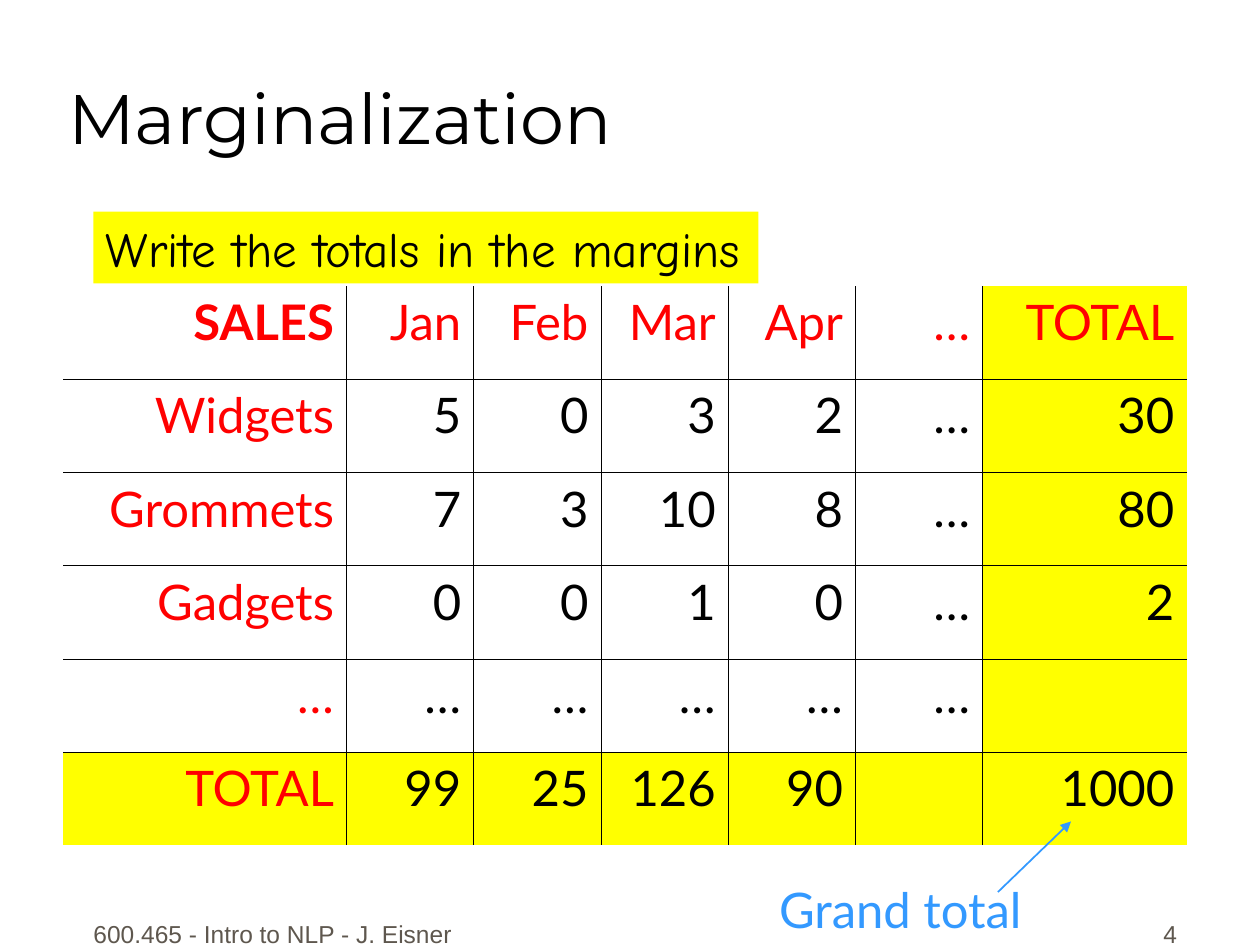
from lxml import etree
from pptx import Presentation
from pptx.dml.color import RGBColor
from pptx.enum.shapes import MSO_CONNECTOR, MSO_SHAPE
from pptx.enum.text import MSO_ANCHOR, MSO_AUTO_SIZE, PP_ALIGN
from pptx.oxml.ns import qn
from pptx.util import Emu, Pt

LEFT, MID, RIGHT = PP_ALIGN.LEFT, PP_ALIGN.CENTER, PP_ALIGN.RIGHT
BOTTOM = MSO_ANCHOR.BOTTOM
FIT, FIXED = MSO_AUTO_SIZE.SHAPE_TO_FIT_TEXT, MSO_AUTO_SIZE.NONE
RECT, LINE = MSO_SHAPE.RECTANGLE, MSO_CONNECTOR.STRAIGHT

SCALE = 9144  # 100 px to the inch
COLORS = {
    "ink": "000000",
    "head": "FF0000",
    "total": "FFFF00",
    "note": "3399FF",
    "foot": "5E574E",
}
SALES = [
    ["SALES", "Jan", "Feb", "Mar", "Apr", "…", "TOTAL"],
    ["Widgets", "5", "0", "3", "2", "…", "30"],
    ["Grommets", "7", "3", "10", "8", "…", "80"],
    ["Gadgets", "0", "0", "1", "0", "…", "2"],
    ["…", "…", "…", "…", "…", "…", ""],
    ["TOTAL", "99", "25", "126", "90", "", "1000"],
]
WIDTHS = [225] + [101] * 5 + [162]
ROW = 74


def px(*nums):
    return [Emu(n * SCALE) for n in nums]


def color(name):
    return RGBColor.from_string(COLORS[name])


def style(frame, text, font, size, hue, align=LEFT, before=0, bold=False):
    frame.text = text
    para = frame.paragraphs[0]
    para.alignment = align
    para.space_before = Pt(before)
    for run in para.runs:
        run.font.name = font
        run.font.size = Pt(size)
        run.font.bold = bold
        run.font.color.rgb = color(hue)


def add_title(slide, box, text):
    title = slide.shapes.title
    title.left, title.top, title.width, title.height = px(*box)
    frame = title.text_frame
    frame.auto_size = FIXED
    frame.vertical_anchor = BOTTOM
    style(frame, text, "Montserrat", 40, "ink")


def add_foot(slide, box, text, align):
    frame = slide.shapes.add_textbox(*px(*box)).text_frame
    frame.word_wrap = True
    frame.vertical_anchor = BOTTOM
    style(frame, text, "Arial", 14, "foot", align, 8.8)


def set_edge(cell, side, shown):
    props = cell._tc.get_or_add_tcPr()
    edge = etree.SubElement(props, qn("a:ln" + side), w=str(Pt(0.45)))
    if shown:
        fill = etree.SubElement(edge, qn("a:solidFill"))
        etree.SubElement(fill, qn("a:srgbClr"), val=COLORS["ink"])
    else:
        etree.SubElement(edge, qn("a:noFill"))


def add_sales(slide, left, top):
    rows, cols = len(SALES), len(WIDTHS)
    box = px(left, top, sum(WIDTHS), ROW * rows)
    table = slide.shapes.add_table(rows, cols, *box).table
    for col, width in zip(table.columns, px(*WIDTHS)):
        col.width = width
    for r, line in enumerate(SALES):
        table.rows[r].height = px(ROW)[0]
        for c, text in enumerate(line):
            cell = table.cell(r, c)
            hue = "head" if r == 0 or c == 0 else "ink"
            style(cell.text_frame, text, "Lato", 28, hue, RIGHT, 7, r == c == 0)
            # Rules run between cells only, never round the outside
            inner = {"L": c > 0, "R": c < cols - 1, "T": r > 0, "B": r < rows - 1}
            for side, shown in inner.items():
                set_edge(cell, side, shown)
            # The last row and column are the margins
            if r == rows - 1 or c == cols - 1:
                cell.fill.solid()
                cell.fill.fore_color.rgb = color("total")
            else:
                cell.fill.background()


def add_banner(slide, box, text):
    shape = slide.shapes.add_shape(RECT, *px(*box))
    shape.shadow.inherit = False
    shape.fill.solid()
    shape.fill.fore_color.rgb = color("total")
    shape.line.fill.background()
    frame = shape.text_frame
    frame.word_wrap = False
    frame.auto_size = FIT
    style(frame, text, "Comic Neue", 28, "ink")


def add_arrow(shapes, ends):
    arrow = shapes.add_connector(LINE, *px(*ends))
    arrow.line.color.rgb = color("note")
    arrow.line.width = Pt(1)
    etree.SubElement(arrow.line._get_or_add_ln(), qn("a:tailEnd"), type="triangle")
    etree.SubElement(arrow._element.spPr, qn("a:effectLst"))


def add_note(slide, box, text, ends):
    group = slide.shapes.add_group_shape()
    add_arrow(group.shapes, ends)
    frame = group.shapes.add_textbox(*px(*box)).text_frame
    frame.word_wrap = False
    frame.auto_size = FIT
    style(frame, text, "Lato", 28, "note", MID)


def main():
    deck = Presentation()
    deck.slide_width, deck.slide_height = px(1000, 750)
    slide = deck.slides.add_slide(deck.slide_layouts[5])

    # Footer and title
    add_foot(slide, (58, 708, 317, 50), "600.465 - Intro to NLP - J. Eisner", MID)
    add_foot(slide, (736, 708, 208, 50), "4", RIGHT)
    add_title(slide, (44, 6, 850, 125), "Marginalization")

    # Sales table with its totals
    add_sales(slide, 50, 227)

    # Banner above and note below
    add_banner(slide, (74, 168, 528, 57), "Write the totals in the margins")
    add_note(slide, (601, 693, 227, 57), "Grand total", (792, 708, 850, 652))

    deck.save("out.pptx")


if __name__ == "__main__":
    main()
